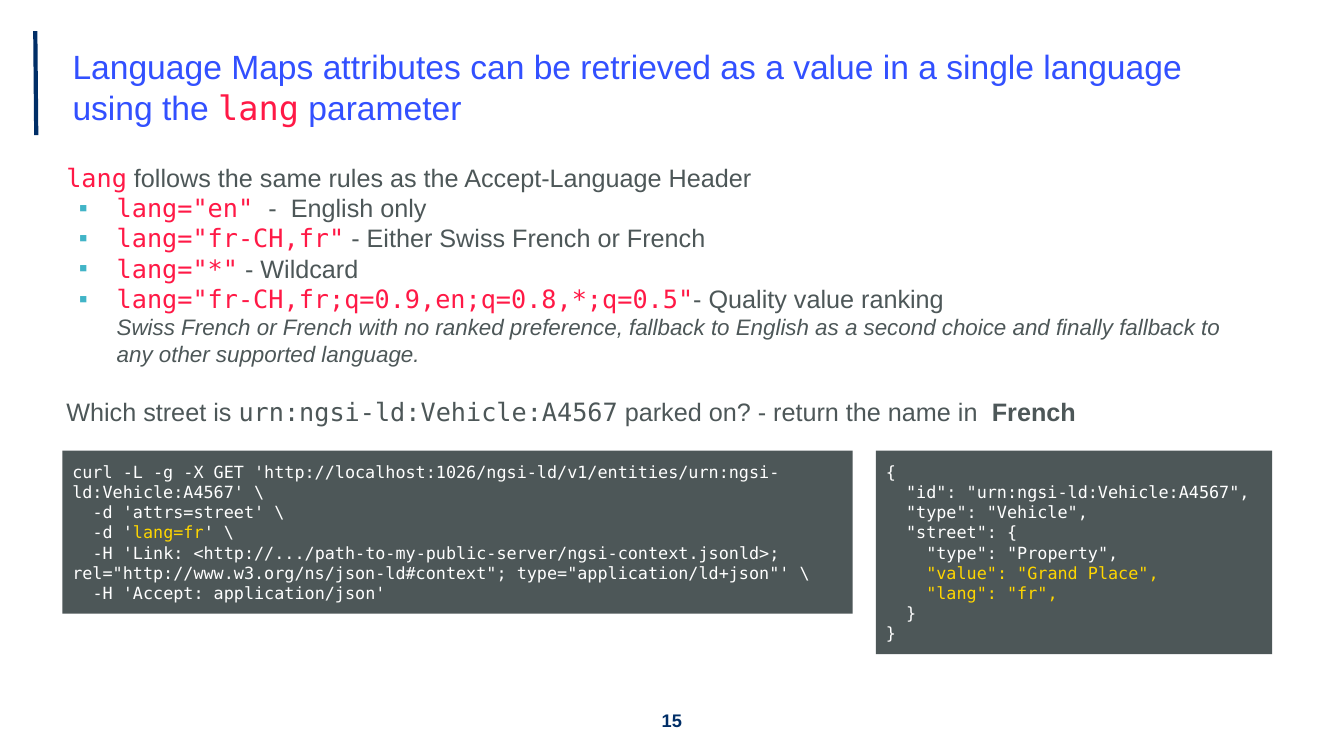
from dataclasses import dataclass

from lxml.etree import SubElement
from pptx import Presentation
from pptx.dml.color import RGBColor
from pptx.enum.shapes import MSO_CONNECTOR as CONNECTOR, MSO_SHAPE as SHAPE
from pptx.enum.text import MSO_ANCHOR as ANCHOR, MSO_AUTO_SIZE as AUTOSIZE, PP_ALIGN as ALIGN
from pptx.oxml.ns import qn
from pptx.util import Pt


@dataclass(frozen=True)
class Theme:
    sans: str = "Arial"
    mono: str = "DejaVu Sans Mono"
    navy: str = "002E67"
    blue: str = "3250FF"
    red: str = "FF1946"
    slate: str = "4D5758"
    teal: str = "41B4C7"
    yellow: str = "FFD600"
    white: str = "FFFFFF"
    title: int = 24
    body: int = 18
    remark: int = 16
    page: int = 13
    code: int = 12


theme = Theme()
CODE_STEP = 14.45  # two monospaced characters


def set_frame(frame, inset, anchor):
    layout = dict(word_wrap=True, auto_size=AUTOSIZE.NONE, vertical_anchor=anchor,
                  margin_left=Pt(7.2), margin_right=Pt(7.2),
                  margin_top=Pt(inset), margin_bottom=Pt(inset))
    for key, value in layout.items():
        setattr(frame, key, value)


def write(frame, row, runs, size, margin=0, indent=0, align=ALIGN.LEFT):
    """Write paragraph number row; each run is (text, font, colour, extra format)."""
    para = frame.paragraphs[0] if row == 0 else frame.add_paragraph()
    para.alignment = align
    props = para._p.get_or_add_pPr()
    props.set("marL", str(Pt(margin)))
    props.set("indent", str(Pt(indent)))
    for text, face, colour, *extra in runs:
        run = para.add_run()
        run.text = text
        look = dict(name=face, size=Pt(size), bold=False, italic=False)
        for key, value in (look | dict(extra)).items():
            setattr(run.font, key, value)
        run.font.color.rgb = RGBColor.from_string(colour)
    return para


deck = Presentation()
deck.slide_width, deck.slide_height = Pt(960), Pt(540)
slide = deck.slides.add_slide(deck.slide_layouts[5])
shapes = slide.shapes

# Accent line beside the title
accent = shapes.add_connector(CONNECTOR.STRAIGHT, Pt(25.9), Pt(96.5), Pt(25.2), Pt(22.3))
accent.line.width = Pt(3)
accent.line.color.rgb = RGBColor.from_string(theme.navy)
SubElement(accent._element.spPr, qn("a:effectLst"))

# Title
title = shapes.title
title.left, title.top, title.width, title.height = Pt(44.6), Pt(22.3), Pt(826.6), Pt(79.2)
set_frame(title.text_frame, 3.6, ANCHOR.MIDDLE)
write(title.text_frame, 0, [
    ("Language Maps attributes can be retrieved as a value in a single language using the ",
     theme.sans, theme.blue),
    ("lang", theme.mono, theme.red),
    (" parameter", theme.sans, theme.blue),
], theme.title)

# Rules for the lang parameter
rules = shapes.add_textbox(Pt(40.3), Pt(108.7), Pt(868.3), Pt(358.6)).text_frame
set_frame(rules, 7.2, ANCHOR.TOP)
write(rules, 0, [
    ("lang", theme.mono, theme.red),
    (" follows the same rules as the Accept-Language Header", theme.sans, theme.slate),
], theme.body)

examples = [
    ('lang="en" ', "-  English only"),
    ('lang="fr-CH,fr"', " - Either Swiss French or French"),
    ('lang="*"', " - Wildcard"),
    ('lang="fr-CH,fr;q=0.9,en;q=0.8,*;q=0.5"', "- Quality value ranking"),
]
for row, (setting, meaning) in enumerate(examples, 1):
    example = write(rules, row, [(setting, theme.mono, theme.red),
                                 (meaning, theme.sans, theme.slate)],
                    theme.body, margin=36, indent=-27)
    props = example._p.pPr
    SubElement(SubElement(props, qn("a:buClr")), qn("a:srgbClr")).set("val", theme.teal)
    SubElement(props, qn("a:buFont")).set("typeface", theme.sans)
    SubElement(props, qn("a:buChar")).set("char", "▪")

write(rules, 5, [
    ("Swiss French or French with no ranked preference, fallback to English as a second "
     "choice and finally fallback to any other supported language.",
     theme.sans, theme.slate, ("italic", True)),
], theme.remark, margin=36)

question = write(rules, 6, [
    ("Which street is ", theme.sans, theme.slate),
    ("urn:ngsi-ld:Vehicle:A4567", theme.mono, theme.slate),
    (" parked on? - return the name in  ", theme.sans, theme.slate),
    ("French", theme.sans, theme.slate, ("bold", True)),
], theme.body)
question.space_before = Pt(20.7)

# Page number
page = shapes.add_textbox(Pt(425.5), Pt(500.4), Pt(108.7), Pt(28.8)).text_frame
set_frame(page, 3.6, ANCHOR.MIDDLE)
write(page, 0, [("15", theme.sans, theme.navy, ("bold", True))], theme.page, align=ALIGN.CENTER)

# Request and response: each line is (indent level, (text, colour), ...)
request = [
    (0, ("curl -L -g -X GET 'http://localhost:1026/ngsi-ld/v1/entities/"
         "urn:ngsi-ld:Vehicle:A4567' \\", theme.white)),
    (1, ("-d 'attrs=street' \\", theme.white)),
    (1, ("-d '", theme.white), ("lang=fr", theme.yellow), ("' \\", theme.white)),
    (1, ("-H 'Link: <http://.../path-to-my-public-server/ngsi-context.jsonld>; "
         'rel="http://www.w3.org/ns/json-ld#context"; type="application/ld+json"\' \\',
         theme.white)),
    (1, ("-H 'Accept: application/json'", theme.white)),
]
response = [
    (0, ("{", theme.white)),
    (1, ('"id": "urn:ngsi-ld:Vehicle:A4567",', theme.white)),
    (1, ('"type": "Vehicle",', theme.white)),
    (1, ('"street": {', theme.white)),
    (2, ('"type": "Property",', theme.white)),
    (2, ('"value": "Grand Place",', theme.yellow)),
    (2, ('"lang": "fr",', theme.yellow)),
    (1, ("}", theme.white)),
    (0, ("}", theme.white)),
]
for left, width, height, listing in [(44.6, 564.5, 116.6, request),
                                     (625.7, 283, 145.4, response)]:
    panel = shapes.add_shape(SHAPE.RECTANGLE, Pt(left), Pt(321.8), Pt(width), Pt(height))
    panel.shadow.inherit = False
    panel.fill.solid()
    panel.fill.fore_color.rgb = RGBColor.from_string(theme.slate)
    panel.line.fill.background()
    set_frame(panel.text_frame, 7.2, ANCHOR.MIDDLE)
    for row, (level, *parts) in enumerate(listing):
        write(panel.text_frame, row, [(text, theme.mono, colour) for text, colour in parts],
              theme.code, indent=level * CODE_STEP)

deck.save("out.pptx")
